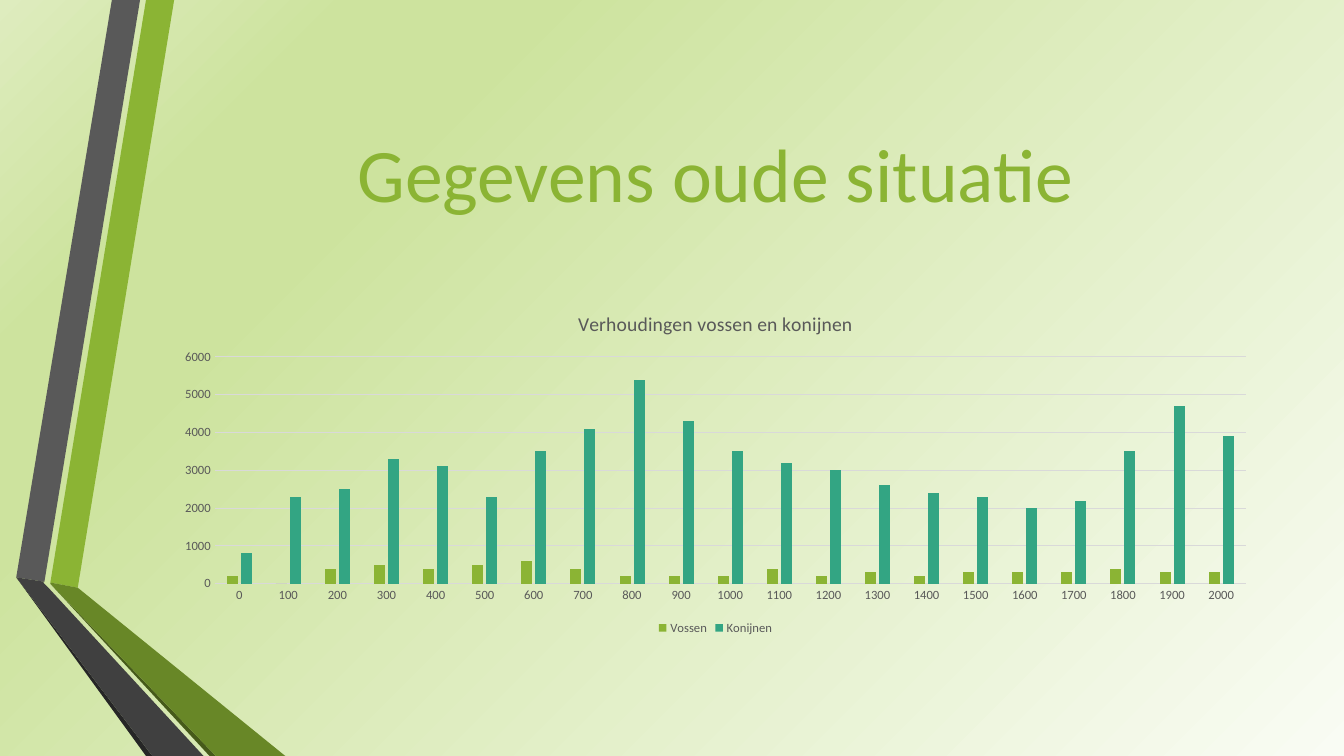
import pptx
import pptx.chart.data
import pptx.dml.color
import pptx.enum.chart
import pptx.enum.text
import pptx.oxml
import pptx.oxml.ns
import pptx.util

Cm, Pt = pptx.util.Cm, pptx.util.Pt


class Theme:
    font = "Calibri"
    green, teal = "8BB434", "33A583"
    dark_green, shade_green = "688727", "465A1A"
    grey, dark_grey, shade_grey = "595959", "404040", "262626"
    grid = "D9D9D9"
    background = [(0, "F9FCF4"), (74, "CDE39E"), (83, "CDE39E"), (100, "DEECBE")]
    title_size, chart_title_size, chart_size, label_size = 54, 14, 10, 9


def rgb(color):
    return pptx.dml.color.RGBColor.from_string(color)


def style_font(font, size, color):
    font.name, font.size, font.bold = Theme.font, Pt(size), False
    font.color.rgb = rgb(color)


def write(tf, text, size, color, align=pptx.enum.text.PP_ALIGN.CENTER):
    p = tf.paragraphs[0]
    p.alignment = align
    r = p.add_run()
    r.text = text
    style_font(r.font, size, color)


class SlideBuilder:
    def __init__(self, prs, theme):
        self.theme = theme
        self.s = prs.slides.add_slide(prs.slide_layouts[5])

    def background(self):
        """Radial gradient that starts in the bottom right corner."""
        self.s.background.fill.gradient()
        grad = self.s.element.find(".//" + pptx.oxml.ns.qn("a:gradFill"))
        stops = "".join(
            f'<a:gs pos="{pos * 1000}"><a:srgbClr val="{color}"/></a:gs>'
            for pos, color in self.theme.background)
        new = pptx.oxml.parse_xml(
            f'<a:gradFill {pptx.oxml.ns.nsdecls("a")} rotWithShape="1">'
            f'<a:gsLst>{stops}</a:gsLst><a:path path="circle">'
            '<a:fillToRect l="100000" t="100000"/></a:path></a:gradFill>')
        grad.getparent().replace(grad, new)

    def polygon(self, color, points):
        start, *rest = [(Cm(x), Cm(y)) for x, y in points]
        builder = self.s.shapes.build_freeform(*start)
        builder.add_line_segments(rest, close=True)
        sp = builder.convert_to_shape()
        sp.shadow.inherit = False
        sp.fill.solid()
        sp.fill.fore_color.rgb = rgb(color)
        sp.line.fill.background()

    def title(self, text, left, top, width, height):
        sp = self.s.shapes.title
        sp.left, sp.top, sp.width, sp.height = map(Cm, (left, top, width, height))
        tf = sp.text_frame
        tf.word_wrap = True
        tf.vertical_anchor = pptx.enum.text.MSO_ANCHOR.MIDDLE
        write(tf, text, self.theme.title_size, self.theme.green)

    def axis(self, axis):
        axis.major_tick_mark = axis.minor_tick_mark = pptx.enum.chart.XL_TICK_MARK.NONE
        style_font(axis.tick_labels.font, self.theme.label_size, self.theme.grey)

    def line(self, line):
        line.color.rgb = rgb(self.theme.grid)
        line.width = Pt(0.75)

    def column_chart(self, title, cats, series, left, top, width, height):
        theme = self.theme
        data = pptx.chart.data.CategoryChartData()
        data.categories = cats
        for name, _, values in series:
            data.add_series(name, values)
        chart = self.s.shapes.add_chart(
            pptx.enum.chart.XL_CHART_TYPE.COLUMN_CLUSTERED,
            Cm(left), Cm(top), Cm(width), Cm(height), data).chart
        style_font(chart.font, theme.chart_size, "000000")
        write(chart.chart_title.text_frame, title, theme.chart_title_size, theme.grey)
        chart.chart_title.include_in_layout = False

        # Axes and grid
        cat_axis, val_axis = chart.category_axis, chart.value_axis
        self.axis(cat_axis)
        self.axis(val_axis)
        self.line(cat_axis.format.line)
        self.line(val_axis.major_gridlines.format.line)
        val_axis.format.line.fill.background()
        val_axis.minimum_scale, val_axis.maximum_scale = 0, 6000
        val_axis.major_unit = 1000

        # Legend
        chart.has_legend = True
        chart.legend.position = pptx.enum.chart.XL_LEGEND_POSITION.BOTTOM
        chart.legend.include_in_layout = False
        style_font(chart.legend.font, theme.label_size, theme.grey)

        # Columns
        plot = chart.plots[0]
        plot.gap_width, plot.overlap, plot.vary_by_categories = 219, -27, False
        for column, (_, color, _) in zip(plot.series, series):
            column.format.fill.solid()
            column.format.fill.fore_color.rgb = rgb(color)


prs = pptx.Presentation()
prs.slide_width, prs.slide_height = Cm(33.87), Cm(19.05)
slide = SlideBuilder(prs, Theme)
slide.background()

# Folded ribbons on the left
bottom = 19.05
ribbons = [
    (Theme.green, [(1.27, 14.68), (1.96, 14.81), (4.39, 0), (3.68, 0)]),
    (Theme.grey, [(3.53, 0), (2.82, 0), (0.41, 14.55), (1.12, 14.66)]),
    (Theme.shade_grey, [(0.41, 14.55), (3.68, bottom), (3.84, bottom)]),
    (Theme.shade_green, [(1.27, 14.71), (5.28, bottom), (5.44, bottom)]),
    (Theme.dark_green, [(1.27, 14.71), (5.44, bottom), (7.19, bottom),
                        (1.96, 14.81), (1.27, 14.68)]),
    (Theme.dark_grey, [(5.13, bottom), (1.22, 14.81), (1.09, 14.68),
                       (1.12, 14.66), (0.41, 14.55), (3.84, bottom)]),
]
for color, points in ribbons:
    slide.polygon(color, points)

# Title and chart share one column
left, width = 4.11, 27.84
slide.title("Gegevens oude situatie", left, 1.91, width, 4.88)
foxes = [200, 0, 400, 500, 400, 500, 600, 400, 200, 200, 200,
         400, 200, 300, 200, 300, 300, 300, 400, 300, 300]
rabbits = [800, 2300, 2500, 3300, 3100, 2300, 3500, 4100, 5400, 4300, 3500,
           3200, 3000, 2600, 2400, 2300, 2000, 2200, 3500, 4700, 3900]
slide.column_chart(
    "Verhoudingen vossen en konijnen",
    [str(step) for step in range(0, 2001, 100)],
    [("Vossen", Theme.green, foxes), ("Konijnen", Theme.teal, rabbits)],
    left, 7.42, width, 8.69)

prs.save("out.pptx")
